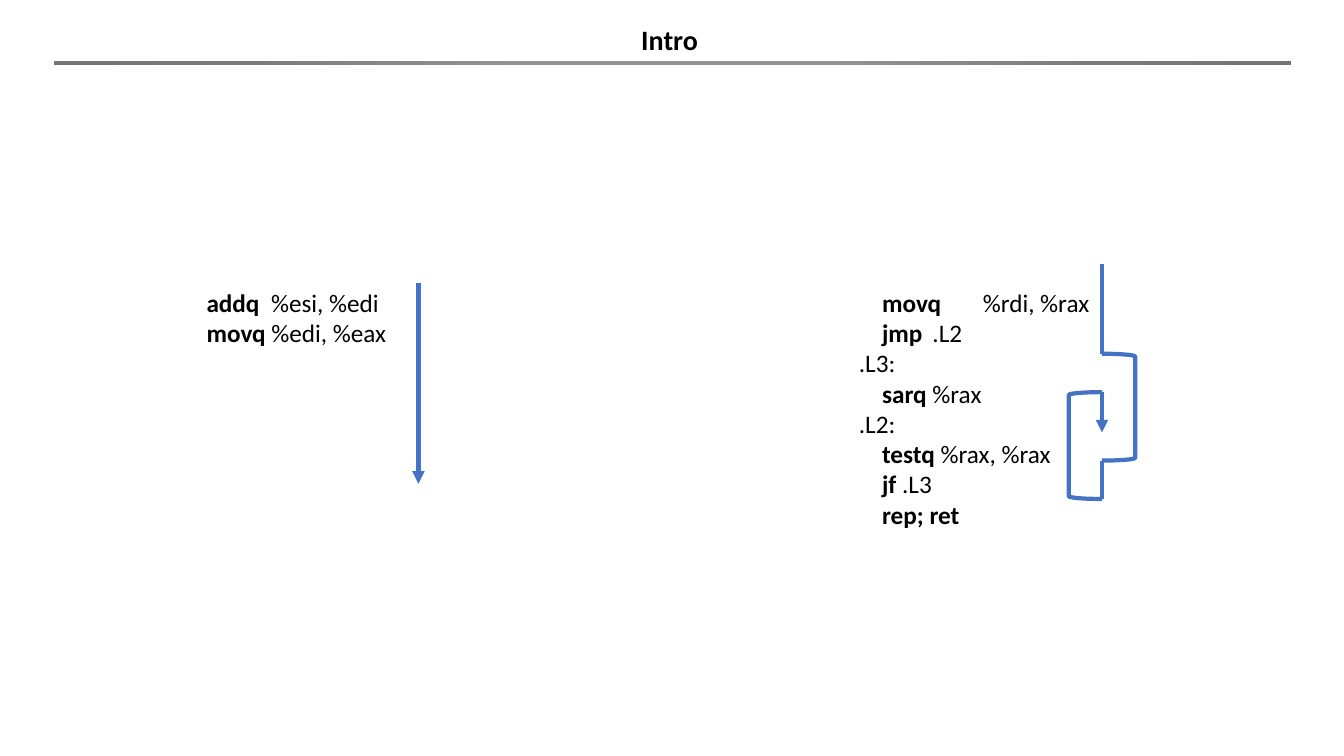
import lxml.etree
import pptx
import pptx.dml.color
import pptx.enum.shapes
import pptx.enum.text
import pptx.oxml
import pptx.oxml.ns
import pptx.util
from dataclasses import dataclass
from pptx.util import Inches


@dataclass(frozen=True)
class Theme:
    font: str = "Calibri"
    text: str = "000000"
    flow: str = "4472C4"
    rule_border: str = "FFFFFF"
    title_size: int = 20
    code_size: int = 18
    flow_width: int = 3


THEME = Theme()
TITLE = "Intro"
TITLE_BOX = (6.26, 0.17, 0.82, 0.44)
RULE_BOX = (0.53, 0.6, 12.28, 0.05)
RULE_STOPS = [(0, "939393"), (23, "939393"), (69, "7C7C7C"), (97, "747474")]

# Each code line: indented, bold mnemonic, plain remainder
STRAIGHT_CODE = [
    (False, "addq", "\t%esi, %edi"),
    (False, "movq", " %edi, %eax"),
]
LOOP_CODE = [
    (True, "movq", "\t%rdi, %rax"),
    (True, "jmp", "\t.L2"),
    (False, "", ".L3:"),
    (True, "sarq", " %rax"),
    (False, "", ".L2:"),
    (True, "testq", " %rax, %rax"),
    (True, "jf", " .L3"),
    (True, "rep; ret", ""),
]
# Each listing: lines, box, operand tab stop
LISTINGS = [
    (STRAIGHT_CODE, (1.95, 2.8, 2.51, 0.71), 0.64),
    (LOOP_CODE, (8.42, 2.8, 2.51, 2.52), 0.92),
]
CODE_INDENT = 0.23

STRAIGHT_X = 4.15
LOOP_X = 10.93
JUMP_WIDTH = 0.33
JUMP_HEIGHT = 1.06
FORWARD_TOP = 3.51
BACKWARD_TOP = 3.89
# Each flow line: x, start y, end y, arrowhead
FLOW_LINES = [
    (STRAIGHT_X, 2.81, 4.8, True),
    (LOOP_X, BACKWARD_TOP, 4.29, True),
    (LOOP_X, 2.62, FORWARD_TOP, False),
    (LOOP_X, FORWARD_TOP + JUMP_HEIGHT, BACKWARD_TOP + JUMP_HEIGHT, False),
]
# Each jump bracket: left, top, rotation
JUMPS = [
    (LOOP_X, FORWARD_TOP, 0),
    (LOOP_X - JUMP_WIDTH, BACKWARD_TOP, 180),
]


def color(value):
    return pptx.dml.color.RGBColor.from_string(value)


def add_child(parent, tag, **attributes):
    child = lxml.etree.SubElement(parent, pptx.oxml.ns.qn(tag))
    for name, value in attributes.items():
        child.set(name, str(value))
    return child


def style_run(run, size, bold):
    run.font.name = THEME.font
    run.font.size = pptx.util.Pt(size)
    run.font.bold = bold
    run.font.color.rgb = color(THEME.text)


def style_flow(shape):
    shape.line.color.rgb = color(THEME.flow)
    shape.line.width = pptx.util.Pt(THEME.flow_width)


def add_title(slide):
    title = slide.shapes.title
    title.left, title.top, title.width, title.height = map(Inches, TITLE_BOX)
    frame = title.text_frame
    frame.text = TITLE
    frame.word_wrap = False
    frame.auto_size = pptx.enum.text.MSO_AUTO_SIZE.SHAPE_TO_FIT_TEXT
    frame.vertical_anchor = pptx.enum.text.MSO_ANCHOR.TOP
    paragraph = frame.paragraphs[0]
    paragraph.alignment = pptx.enum.text.PP_ALIGN.LEFT
    style_run(paragraph.runs[0], THEME.title_size, True)


def add_rule(slide):
    """Draw the bar under the title, shaded outwards from its centre."""
    rule = slide.shapes.add_shape(
        pptx.enum.shapes.MSO_SHAPE.RECTANGLE, *map(Inches, RULE_BOX))
    rule.shadow.inherit = False
    rule.line.color.rgb = color(THEME.rule_border)
    rule.line.width = pptx.util.Pt(1)
    rule.fill.gradient()
    gradient = rule.element.spPr.find(pptx.oxml.ns.qn("a:gradFill"))
    for child in list(gradient):
        gradient.remove(child)
    stops = add_child(gradient, "a:gsLst")
    for percent, value in RULE_STOPS:
        stop = add_child(stops, "a:gs", pos=percent * 1000)
        add_child(stop, "a:srgbClr", val=value)
    circle = add_child(gradient, "a:path", path="circle")
    add_child(circle, "a:fillToRect", l=50000, t=50000, r=50000, b=50000)


def add_listing(slide, lines, box, operand_tab):
    frame = slide.shapes.add_textbox(*map(Inches, box)).text_frame
    frame.word_wrap = True
    frame.auto_size = pptx.enum.text.MSO_AUTO_SIZE.SHAPE_TO_FIT_TEXT
    for index, (indented, mnemonic, remainder) in enumerate(lines):
        paragraph = frame.paragraphs[0] if index == 0 else frame.add_paragraph()
        properties = paragraph._p.get_or_add_pPr()
        if indented:
            properties.set("marL", str(Inches(CODE_INDENT)))
            properties.set("indent", "0")
        if "\t" in remainder:
            tabs = add_child(properties, "a:tabLst")
            add_child(tabs, "a:tab", pos=Inches(operand_tab), algn="l")
        for text, bold in ((mnemonic, True), (remainder, False)):
            if text:
                run = paragraph.add_run()
                run.text = text
                style_run(run, THEME.code_size, bold)


def add_flow_line(slide, x, start, end, arrow):
    connector = slide.shapes.add_connector(
        pptx.enum.shapes.MSO_CONNECTOR.STRAIGHT,
        Inches(x), Inches(start), Inches(x), Inches(end))
    style_flow(connector)
    if arrow:
        add_child(connector.line._get_or_add_ln(), "a:tailEnd", type="triangle")
    add_child(connector.element.spPr, "a:effectLst")


def add_jump(slide, left, top, rotation):
    bracket = slide.shapes.add_shape(
        pptx.enum.shapes.MSO_SHAPE.RIGHT_BRACKET,
        Inches(left), Inches(top), Inches(JUMP_WIDTH), Inches(JUMP_HEIGHT))
    bracket.rotation = rotation
    bracket.shadow.inherit = False
    bracket.fill.background()
    style_flow(bracket)


def main():
    presentation = pptx.Presentation()
    presentation.slide_width = Inches(13.33)
    presentation.slide_height = Inches(7.5)
    slide = presentation.slides.add_slide(presentation.slide_layouts[5])
    add_rule(slide)
    add_title(slide)
    for listing in LISTINGS:
        add_listing(slide, *listing)
    for flow_line in FLOW_LINES:
        add_flow_line(slide, *flow_line)
    for jump in JUMPS:
        add_jump(slide, *jump)
    presentation.save("out.pptx")


if __name__ == "__main__":
    main()
